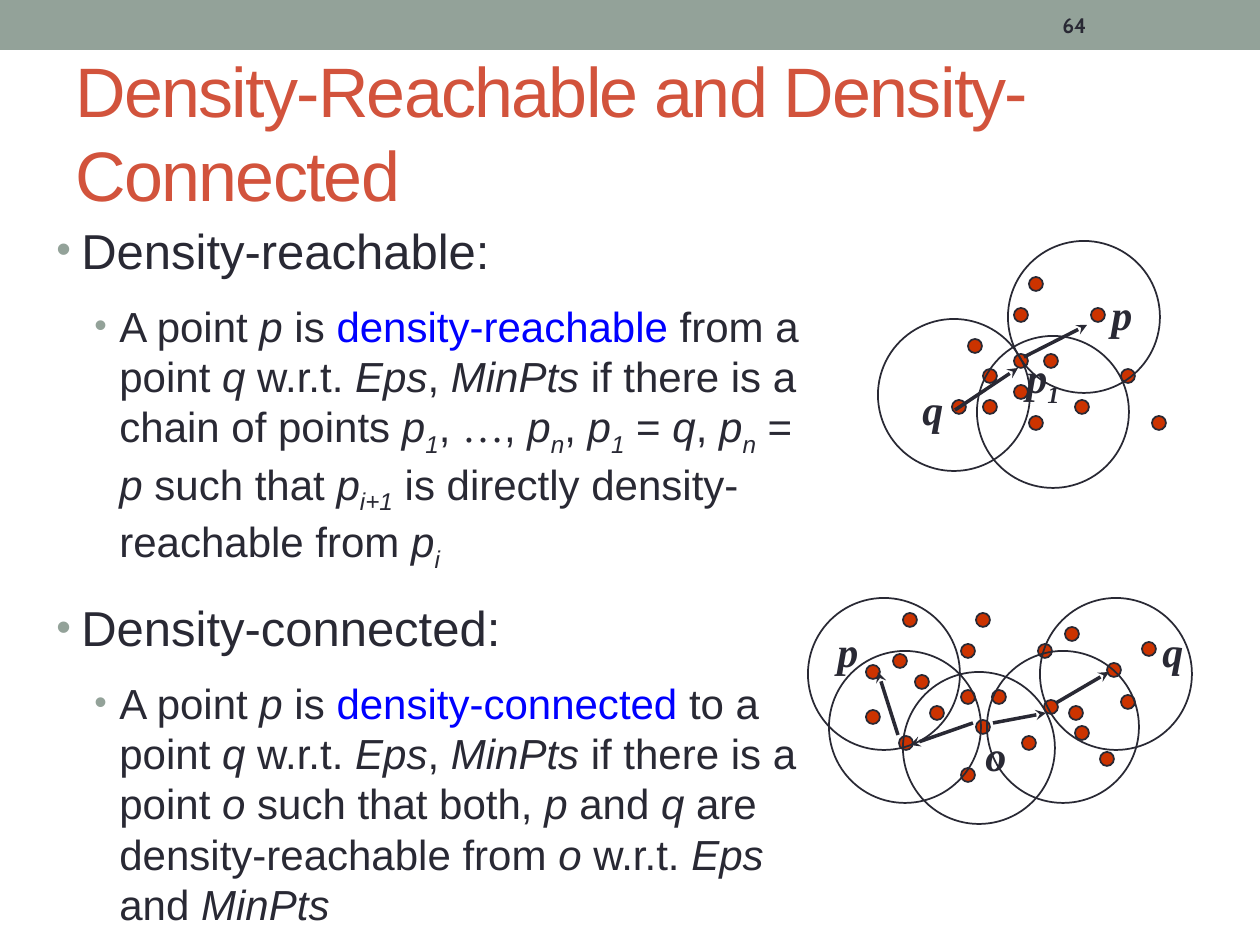
from lxml.etree import SubElement
from pptx import Presentation
from pptx.dml.color import RGBColor
from pptx.enum.shapes import MSO_CONNECTOR, MSO_SHAPE
from pptx.enum.text import MSO_ANCHOR, MSO_AUTO_SIZE, PP_ALIGN
from pptx.oxml.ns import qn
from pptx.util import Emu, Pt

PX = 914400 / 126
INK, RED, BAND, DOT_FILL, BLUE = "292934", "D2533C", "93A299", "CC3300", "0000FF"
DOT, CIRCLE = 14, 152  # diameters

TITLE = "Density-Reachable and Density-Connected"
PAGE_NUMBER = "64"

# (level, text): runs are split by "|"; a first letter of
# * means italic, _ italic subscript, # highlighted, ~ serif
BODY = [
    (0, "Density-reachable:"),
    (1, "A point |*p| is |#density-reachable| from a point |*q| w.r.t. |*Eps|, |*MinPts"
        "| if there is a chain of points |*p|_1|, |~…|, |*p|_n|, |*p|_1| = |*q|, |*p|_n"
        "| = |*p| such that |*p|_i+1| is directly density-reachable from |*p|_i"),
    (0, "Density-connected:"),
    (1, "A point |*p| is |#density-connected| to a point |*q| w.r.t. |*Eps|, |*MinPts"
        "| if there is a point |*o |such that both, |*p| and |*q"
        "| are density-reachable from |*o| w.r.t. |*Eps| and |*MinPts"),
]
# level: size, left margin, space before
LEVELS = {0: (28, 25, 14), 1: (24, 63, 12)}

# Dots and circles by centre, arrows from tail to head, labels by left, top, width
REACHABLE = {
    "dots": [(975, 346), (1021, 361), (1021, 315), (959, 407), (990, 376), (990, 407),
             (1036, 423), (1036, 284), (1128, 376), (1098, 315), (1021, 392),
             (1051, 361), (1082, 407), (1159, 423)],
    "circles": [(1053, 412), (954, 395), (1084, 317)],
    "arrows": [(1024, 357, 1087, 325), (955, 410, 1018, 368)],
    "labels": [("*p", 1099, 282, 53), ("*q", 910, 377, 53), ("*p|_1", 1014, 345, 84)],
}
CONNECTED = {
    "dots": [(922, 682), (968, 697), (968, 651), (906, 743), (937, 713), (968, 775),
             (983, 727), (983, 620), (1076, 713), (1045, 651), (873, 717), (999, 697),
             (1029, 743), (1107, 759), (1128, 702), (1051, 707), (1082, 733),
             (1149, 649), (1072, 634), (1114, 670), (900, 661), (873, 672), (910, 620)],
    "circles": [(905, 727), (979, 748), (1063, 727), (1116, 674), (884, 674)],
    "arrows": [(973, 723, 910, 745), (993, 723, 1046, 713),
               (898, 735, 878, 672), (1056, 703, 1109, 672)],
    "labels": [("*p", 825, 619, 53), ("*q", 1150, 619, 53), ("*o", 973, 723, 53)],
}


def px(*lengths):
    return [Emu(round(length * PX)) for length in lengths]


def color(value):
    return RGBColor.from_string(value)


def set_font(font, size, name="Arial", fill=INK, bold=None):
    font.size, font.name, font.bold = Pt(size), name, bold
    font.color.rgb = color(fill)


def add_runs(paragraph, text):
    for part in text.split("|"):
        mark = part[0] if part[0] in "*_#~" else ""
        run = paragraph.add_run()
        run.text = part[len(mark):]
        if mark in ("*", "_"):
            run.font.italic = True
        if mark == "_":
            run._r.get_or_add_rPr().set("baseline", "-25000")
        elif mark == "#":
            run.font.color.rgb = color(BLUE)
        elif mark == "~":
            run.font.name = "Times New Roman"


def add_text_box(shapes, *box):
    frame = shapes.add_textbox(*px(*box)).text_frame
    frame.word_wrap = True
    return frame


def add_bullet(paragraph, margin):
    properties = paragraph._p.get_or_add_pPr()
    properties.set("marL", str(px(margin)[0]))
    properties.set("indent", str(px(-25)[0]))
    bullet_color = SubElement(properties, qn("a:buClr"))
    SubElement(bullet_color, qn("a:srgbClr"), val=BAND)
    SubElement(properties, qn("a:buSzPct"), val="85000")
    SubElement(properties, qn("a:buFont"), typeface="Arial")
    SubElement(properties, qn("a:buChar"), char="•")


def add_ellipse(shapes, center, diameter, fill=None):
    x, y = center
    shape = shapes.add_shape(MSO_SHAPE.OVAL, *px(x - diameter / 2, y - diameter / 2,
                                                 diameter, diameter))
    shape.shadow.inherit = False
    if fill:
        shape.fill.solid()
        shape.fill.fore_color.rgb = color(fill)
    else:
        shape.fill.background()
    shape.line.color.rgb = color(INK)
    shape.line.width = Pt(1)


def add_arrow(shapes, ends):
    arrow = shapes.add_connector(MSO_CONNECTOR.STRAIGHT, *px(*ends))
    arrow.line.color.rgb = color(INK)
    arrow.line.width = Pt(2)
    SubElement(arrow.line._get_or_add_ln(), qn("a:tailEnd"), type="stealth")
    SubElement(arrow._element.spPr, qn("a:effectLst"))


def add_diagram(slide, diagram):
    shapes = slide.shapes.add_group_shape().shapes
    for center in diagram["dots"]:
        add_ellipse(shapes, center, DOT, DOT_FILL)
    for center in diagram["circles"]:
        add_ellipse(shapes, center, CIRCLE)
    for ends in diagram["arrows"]:
        add_arrow(shapes, ends)
    for text, left, top, width in diagram["labels"]:
        paragraph = add_text_box(shapes, left, top, width, 63).paragraphs[0]
        set_font(paragraph.font, 24, "Times New Roman", bold=True)
        add_runs(paragraph, text)


def main():
    presentation = Presentation()
    presentation.slide_width, presentation.slide_height = px(1260, 945)
    slide = presentation.slides.add_slide(presentation.slide_layouts[5])

    # Top band
    band = slide.shapes.add_shape(MSO_SHAPE.RECTANGLE, *px(0, 0, 1260, 50))
    band.shadow.inherit = False
    band.fill.solid()
    band.fill.fore_color.rgb = color(BAND)
    band.line.fill.background()

    # Title
    title = slide.shapes.title
    title.left, title.top, title.width, title.height = px(63, 73, 1260, 116)
    frame = title.text_frame
    frame.text = TITLE
    frame.auto_size = MSO_AUTO_SIZE.NONE
    frame.vertical_anchor = MSO_ANCHOR.MIDDLE
    paragraph = frame.paragraphs[0]
    paragraph.alignment = PP_ALIGN.LEFT
    set_font(paragraph.font, 40, fill=RED)
    paragraph.runs[0]._r.get_or_add_rPr().set("spc", "-100")

    # Definitions
    frame = add_text_box(slide.shapes, 44, 214, 777, 709)
    for index, (level, text) in enumerate(BODY):
        paragraph = frame.add_paragraph() if index else frame.paragraphs[0]
        size, margin, space = LEVELS[level]
        paragraph.level = level
        add_bullet(paragraph, margin)
        if index:
            paragraph.space_before = Pt(space)
        set_font(paragraph.font, size)
        add_runs(paragraph, text)

    # Diagrams
    for diagram in (REACHABLE, CONNECTED):
        add_diagram(slide, diagram)

    # Page number
    frame = add_text_box(slide.shapes, 1050, 3, 147, 45)
    frame.vertical_anchor = MSO_ANCHOR.MIDDLE
    frame.text = PAGE_NUMBER
    set_font(frame.paragraphs[0].font, 12, "Cabin", bold=True)

    presentation.save("out.pptx")


if __name__ == "__main__":
    main()
